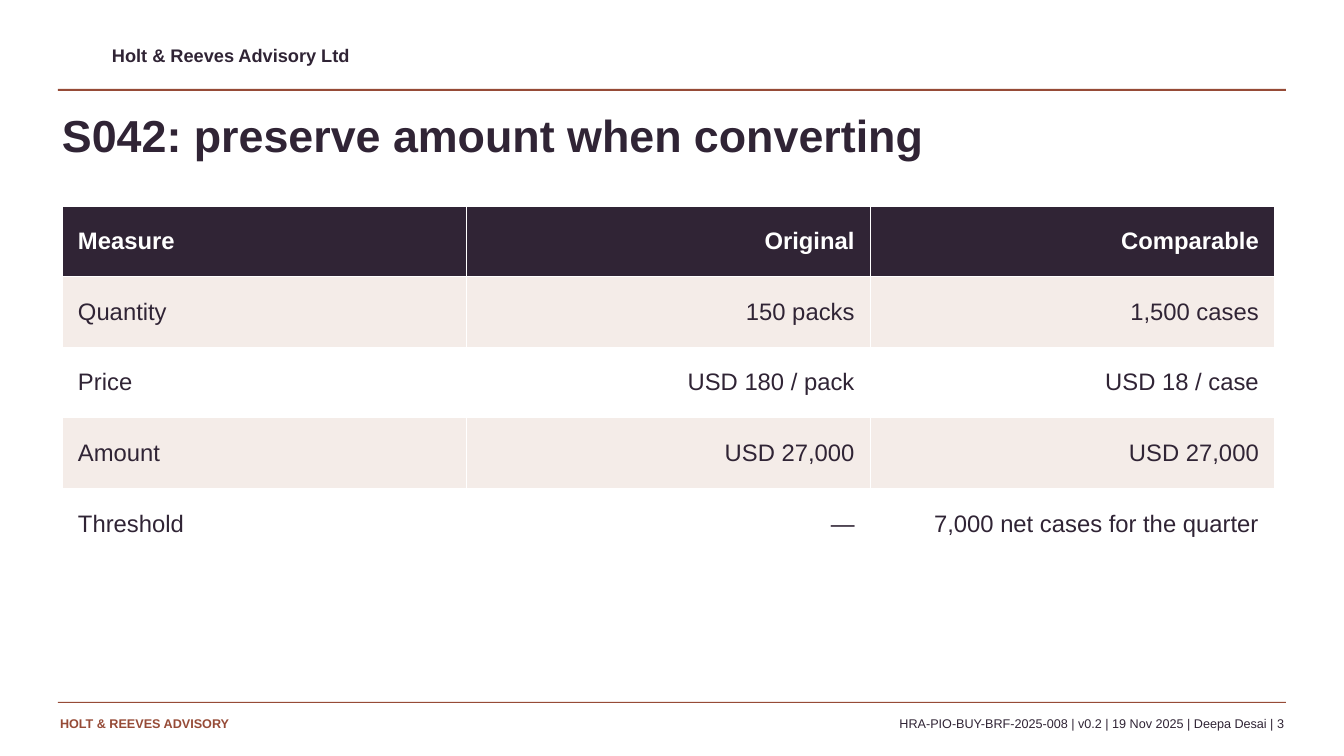
"""Build the S042 unit conversion slide with its header, table and footer."""
import pptx
import pptx.dml.color
import pptx.enum.shapes
import pptx.enum.text
import pptx.util

RGBColor = pptx.dml.color.RGBColor
RUST = RGBColor(0x96, 0x4B, 0x37)
PLUM = RGBColor(0x30, 0x24, 0x35)
BLUSH = RGBColor(0xF4, 0xEC, 0xE8)
WHITE = RGBColor(0xFF, 0xFF, 0xFF)
LEFT = pptx.enum.text.PP_ALIGN.LEFT
RIGHT = pptx.enum.text.PP_ALIGN.RIGHT
PX_PER_INCH = 100.8


def px(*lengths):
    return [pptx.util.Inches(n / PX_PER_INCH) for n in lengths]


def write(p, text, size, color, bold, align):
    p.alignment = align
    r = p.add_run()
    r.text = text
    fmt = {"name": "Arial", "size": pptx.util.Pt(size), "bold": bold}
    for key, value in fmt.items():
        setattr(r.font, key, value)
    r.font.color.rgb = color


prs = pptx.Presentation()
prs.slide_width, prs.slide_height = px(1344, 756)
s = prs.slides.add_slide(prs.slide_layouts[6])

for top, height in [(89, 2), (702, 1)]:
    sp = s.shapes.add_shape(pptx.enum.shapes.MSO_SHAPE.RECTANGLE,
                            *px(58, top, 1228, height))
    sp.shadow.inherit = False
    sp.fill.solid()
    sp.fill.fore_color.rgb = RUST
    sp.line.fill.background()

for text, box, size, color, bold, align in [
    ("Holt & Reeves Advisory Ltd", (112, 44, 605, 27), 13, PLUM, True, LEFT),
    ("S042: preserve amount when converting", (62, 108, 1210, 79), 32, PLUM, True, LEFT),
    ("HOLT & REEVES ADVISORY", (60, 716, 343, 25), 9, RUST, True, LEFT),
    ("HRA-PIO-BUY-BRF-2025-008 | v0.2 | 19 Nov 2025 | Deepa Desai | 3",
     (415, 716, 869, 20), 9, PLUM, False, RIGHT),
]:
    tf = s.shapes.add_textbox(*px(*box)).text_frame
    frame = {"word_wrap": True, "margin_left": 0, "margin_top": 0,
             "margin_right": 0, "margin_bottom": 0}
    for key, value in frame.items():
        setattr(tf, key, value)
    write(tf.paragraphs[0], text, size, color, bold, align)

rows = [
    ("Measure", "Original", "Comparable"),
    ("Quantity", "150 packs", "1,500 cases"),
    ("Price", "USD 180 / pack", "USD 18 / case"),
    ("Amount", "USD 27,000", "USD 27,000"),
    ("Threshold", "—", "7,000 net cases for the quarter"),
]
table = s.shapes.add_table(len(rows), len(rows[0]), *px(62, 206, 1213, 353)).table
side, edge = px(16, 5)
cell_format = {"margin_left": side, "margin_right": side,
               "margin_top": edge, "margin_bottom": edge,
               "vertical_anchor": pptx.enum.text.MSO_ANCHOR.MIDDLE}
for i, row in enumerate(rows):
    header = i == 0
    fill = PLUM if header else BLUSH if i % 2 else WHITE
    for j, text in enumerate(row):
        cell = table.cell(i, j)
        for key, value in cell_format.items():
            setattr(cell, key, value)
        cell.fill.solid()
        cell.fill.fore_color.rgb = fill
        write(cell.text_frame.paragraphs[0], text, 17,
              WHITE if header else PLUM, header, RIGHT if j else LEFT)

prs.save("out.pptx")
